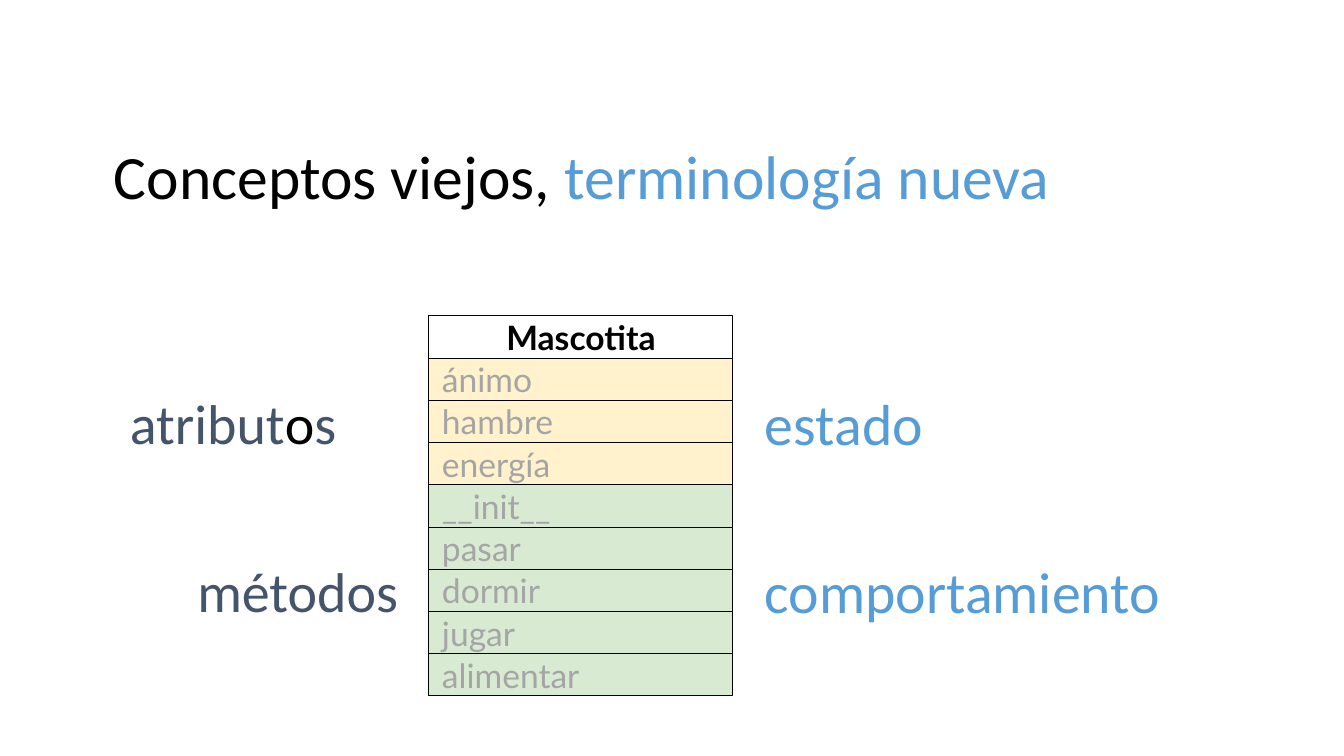
"""Build the slide that pairs the parts of a class with their new terminology."""
from pptx import Presentation
from pptx.dml.color import RGBColor
from pptx.enum.shapes import MSO_SHAPE
from pptx.enum.text import MSO_ANCHOR, PP_ALIGN
from pptx.util import Pt

RECTANGLE = MSO_SHAPE.RECTANGLE
TOP, MIDDLE = MSO_ANCHOR.TOP, MSO_ANCHOR.MIDDLE
LEFT, CENTER, RIGHT = PP_ALIGN.LEFT, PP_ALIGN.CENTER, PP_ALIGN.RIGHT

COLORS = {
    "black": "000000", "white": "FFFFFF", "blue": "569CD6", "slate": "44546A",
    "gray": "A5A5A5", "cream": "FFF2CC", "green": "D9EAD3",
}

TITLE = [("Conceptos viejos, ", "black"), ("terminología nueva", "blue")]
CLASS_NAME = "Mascotita"
ATTRIBUTES = ["ánimo", "hambre", "energía"]
METHODS = ["__init__", "pasar", "dormir", "jugar", "alimentar"]

ATTRIBUTES_Y, METHODS_Y = 389, 557
OLD_RIGHT, NEW_LEFT, TERM_HEIGHT = 411, 752, 67
OLD_TERMS = [
    ([("atribut", "slate"), ("o", "black"), ("s", "slate")], ATTRIBUTES_Y, 294, LEFT),
    ([("métodos", "slate")], METHODS_Y, 330, RIGHT),
]
NEW_TERMS = [("estado", ATTRIBUTES_Y, 294), ("comportamiento", METHODS_Y, 556)]

CLASS_LEFT, CLASS_TOP, CLASS_WIDTH, CLASS_HEIGHT = 429, 316, 304, 380
INSET, TITLE_INSET = 13, 69


def px(length):
    return round(length * 914400 / 100.8)


def rgb(color):
    return RGBColor.from_string(COLORS[color])


def write(shape, pieces, size, font, align=LEFT, anchor=MIDDLE, bold=False, left_inset=INSET):
    frame = shape.text_frame
    frame.word_wrap = True
    frame.vertical_anchor = anchor
    frame.margin_left = px(left_inset)
    frame.margin_top = frame.margin_right = frame.margin_bottom = px(INSET)
    paragraph = frame.paragraphs[0]
    paragraph.alignment = align
    for text, color in pieces:
        run = paragraph.add_run()
        run.text = text
        run.font.size = Pt(size)
        run.font.name = font
        run.font.bold = bold
        run.font.color.rgb = rgb(color)


def add_text(slide, box, pieces, size, **layout):
    write(slide.shapes.add_textbox(*map(px, box)), pieces, size, "Calibri", **layout)


def add_class(slide):
    members = [(CLASS_NAME, "white")]
    members += [(name, "cream") for name in ATTRIBUTES]
    members += [(name, "green") for name in METHODS]
    row_height = CLASS_HEIGHT / len(members)
    for index, (name, fill) in enumerate(members):
        top = CLASS_TOP + index * row_height
        row = slide.shapes.add_shape(
            RECTANGLE, px(CLASS_LEFT), px(top), px(CLASS_WIDTH), px(row_height))
        row.shadow.inherit = False
        row.fill.solid()
        row.fill.fore_color.rgb = rgb(fill)
        row.line.color.rgb = rgb("black")
        row.line.width = Pt(0.75)
        heading = index == 0
        write(row, [(name, "black" if heading else "gray")], 24, "Lato",
              align=CENTER if heading else LEFT, bold=heading)


def main():
    deck = Presentation()
    deck.slide_width, deck.slide_height = px(1344), px(756)
    slide = deck.slides.add_slide(deck.slide_layouts[6])
    add_text(slide, (45, 125, 1252, 85), TITLE, 44, anchor=TOP, left_inset=TITLE_INSET)
    add_class(slide)
    for pieces, top, width, align in OLD_TERMS:
        add_text(slide, (OLD_RIGHT - width, top, width, TERM_HEIGHT), pieces, 40, align=align)
    for term, top, width in NEW_TERMS:
        add_text(slide, (NEW_LEFT, top, width, TERM_HEIGHT), [(term, "blue")], 41.3)
    deck.save("out.pptx")


if __name__ == "__main__":
    main()
